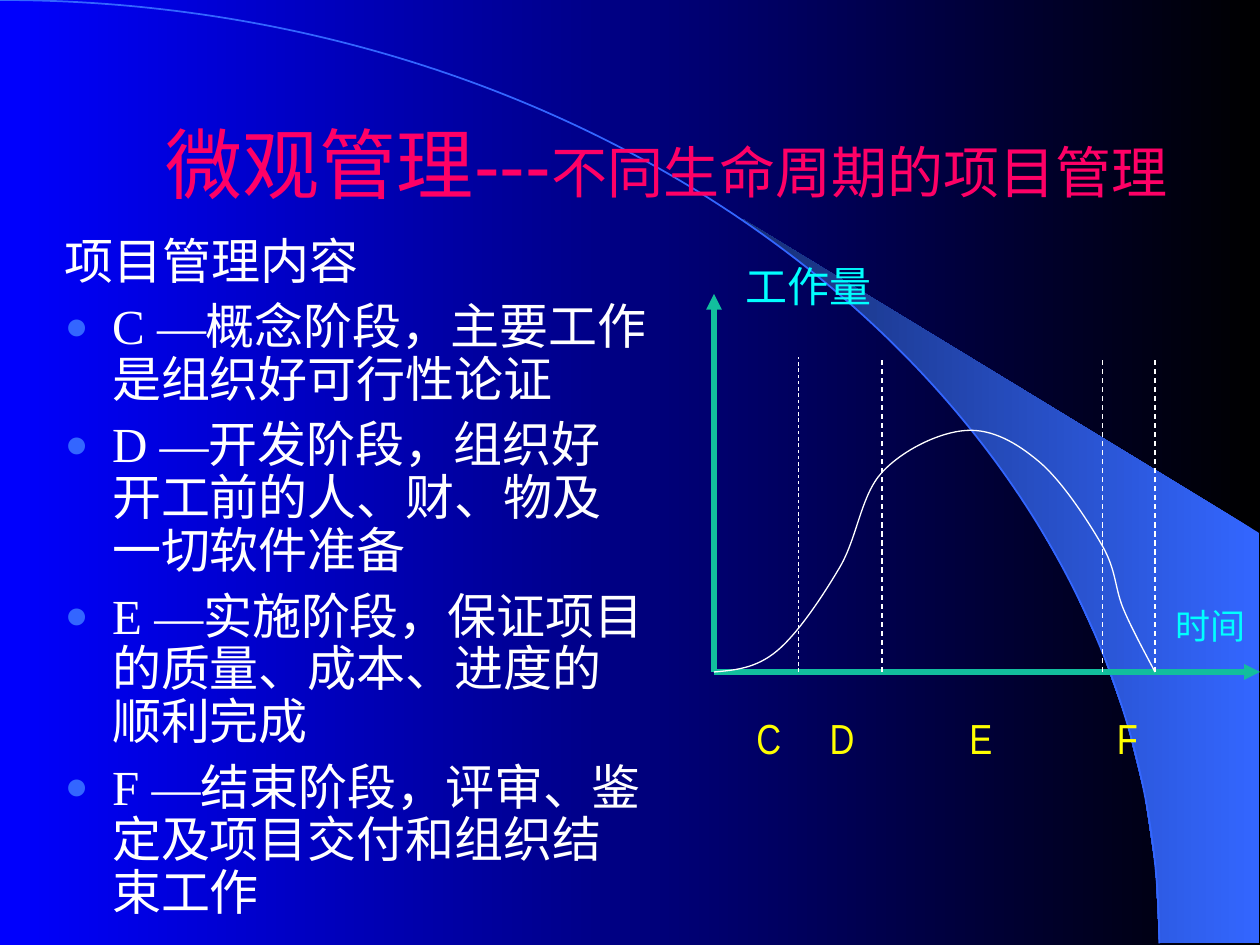
from math import cos, radians, sin

from lxml.etree import SubElement
from pptx import Presentation
from pptx.dml.color import RGBColor
from pptx.enum.dml import MSO_LINE
from pptx.enum.shapes import MSO_CONNECTOR
from pptx.enum.text import MSO_ANCHOR, MSO_AUTO_SIZE, PP_ALIGN
from pptx.oxml.ns import qn
from pptx.util import Inches, Pt

BLACK = RGBColor(0x00, 0x00, 0x00)
BLUE = RGBColor(0x00, 0x00, 0xFF)
SKY = RGBColor(0x33, 0x66, 0xFF)
NAVY = RGBColor(0x17, 0x2F, 0x75)
PINK = RGBColor(0xFF, 0x00, 0x66)
WHITE = RGBColor(0xFF, 0xFF, 0xFF)
GREEN = RGBColor(0x12, 0xBE, 0x9D)
CYAN = RGBColor(0x00, 0xFF, 0xFF)
YELLOW = RGBColor(0xFF, 0xFF, 0x00)

COLUMNS, ROWS = 120, 90
ARC_WIDTH, ARC_HEIGHT = 110.4, 89.85
ROUNDNESS = 0.55
HANGING = Pt(27)
ORIGIN = (68, 64)
WORKLOAD = [ORIGIN, (74, 62), (80, 54), (84, 45), (92, 41),
            (99, 44), (105, 52), (107, 58), (110, 64)]
BEFORE_START = (62, 63)
PHASE_ENDS = [(76, 0.5), (84, 0.75), (105, 0.75), (110, 0.75)]

HEADING = "项目管理内容"
PHASES = [
    "C —概念阶段，主要工作是组织好可行性论证",
    "D —开发阶段，组织好开工前的人、财、物及一切软件准备",
    "E —实施阶段，保证项目的质量、成本、进度的顺利完成",
    "F —结束阶段，评审、鉴定及项目交付和组织结束工作",
]


def grid(*cells):
    """Turn counts of grid cells (twelve to the inch) into lengths."""
    return [Inches(cell / 12) for cell in cells]


def place(shape, left, top, width, height):
    shape.left, shape.top, shape.width, shape.height = grid(left, top, width, height)


def set_gradient(fill, start, end):
    fill.gradient()
    fill.gradient_angle = 180
    for stop, color in zip(fill.gradient_stops, (start, end)):
        stop.color.rgb = color


def set_font(paragraph, name, size, color):
    paragraph.font.name = name
    paragraph.font.size = Pt(size)
    paragraph.font.color.rgb = color


def add_outline(slide, points, closed=False, corners=()):
    """Draw through the points; corners widen the frame of the shape."""
    start, *rest = [grid(*point) for point in (*corners, *points)]
    builder = slide.shapes.build_freeform(*start)
    for _ in corners:
        builder.move_to(*rest.pop(0))
    builder.add_line_segments(rest, close=closed)
    outline = builder.convert_to_shape()
    outline.shadow.inherit = False
    return outline


def add_curve(slide, points, color, width, corners=()):
    """Draw cubic curves; each takes two control points and an end."""
    curve = add_outline(slide, points, corners=corners)
    drawn = next(curve._element.iter(qn("a:path")))
    for move in drawn.findall(qn("a:moveTo"))[:-1]:
        drawn.remove(move)
    segments = drawn.findall(qn("a:lnTo"))
    for first in range(0, len(segments), 3):
        cubic = SubElement(drawn, qn("a:cubicBezTo"))
        for segment in segments[first:first + 3]:
            cubic.append(segment[0])
            drawn.remove(segment)
    curve.fill.background()
    curve.line.color.rgb = color
    curve.line.width = Pt(width)
    return curve


def arc_points(first_angle, steps):
    """Points on a quarter ellipse, from an angle in degrees to its right end."""
    angles = [radians(first_angle + (90 - first_angle) * i / steps)
              for i in range(steps + 1)]
    return [(ARC_WIDTH * sin(a), ARC_HEIGHT * (1 - cos(a))) for a in angles]


def smooth(knots, before):
    """Put Catmull-Rom control points between the knots."""
    padded = [before, *knots, knots[-1]]
    points = [knots[0]]
    for (ax, ay), (bx, by), (cx, cy), (dx, dy) in zip(
            padded, padded[1:], padded[2:], padded[3:]):
        points += [(bx + (cx - ax) / 6, by + (cy - ay) / 6),
                   (cx - (dx - bx) / 6, cy - (dy - by) / 6),
                   (cx, cy)]
    return points


def add_line(slide, start, end, color, width, dashed=False, arrow=False):
    line = slide.shapes.add_connector(MSO_CONNECTOR.STRAIGHT, *grid(*start), *grid(*end))
    line.line.color.rgb = color
    line.line.width = Pt(width)
    if dashed:
        line.line.dash_style = MSO_LINE.DASH
    if arrow:
        SubElement(line.line._get_or_add_ln(), qn("a:tailEnd"), type="triangle")
    SubElement(line._element.spPr, qn("a:effectLst"))


def add_label(slide, words, box, size, color, inset=0.1, tabs=()):
    label = slide.shapes.add_textbox(*grid(*box))
    frame = label.text_frame
    frame.margin_left = Inches(inset)
    paragraph = frame.paragraphs[0]
    paragraph.text = words
    if tabs:
        tab_list = SubElement(paragraph._p.get_or_add_pPr(), qn("a:tabLst"))
        for tab in tabs:
            SubElement(tab_list, qn("a:tab"), pos=str(Inches(tab)), algn="l")
    set_font(paragraph, "Arial Narrow", size, color)


def set_bullet(paragraph, bulleted):
    properties = paragraph._p.get_or_add_pPr()
    properties.set("marL", str(HANGING))
    properties.set("indent", str(-HANGING))
    if not bulleted:
        SubElement(properties, qn("a:buNone"))
        return
    color = SubElement(properties, qn("a:buClr"))
    SubElement(color, qn("a:srgbClr"), val=str(SKY))
    SubElement(properties, qn("a:buSzPct"), val="80000")
    SubElement(properties, qn("a:buChar"), char="●")


def add_backdrop(slide):
    set_gradient(slide.background.fill, BLACK, BLUE)
    quarter = [(0, 0), (ARC_WIDTH * ROUNDNESS, 0),
               (ARC_WIDTH, ARC_HEIGHT * (1 - ROUNDNESS)), (ARC_WIDTH, ARC_HEIGHT)]
    arc = add_curve(slide, quarter, SKY, 1,
                    corners=[(-ARC_WIDTH, 0), (ARC_WIDTH, 2 * ARC_HEIGHT)])
    right = COLUMNS - 0.1
    wedge = add_outline(slide, [*arc_points(39.8, 11), (right, ARC_HEIGHT), (right, 50.75)],
                        closed=True)
    set_gradient(wedge.fill, SKY, NAVY)
    wedge.line.fill.background()
    for shape in (arc, wedge):
        slide.shapes._spTree.insert(2, shape._element)


def fill_title(title):
    place(title, 10, 8, 107, 15)
    frame = title.text_frame
    frame.auto_size = MSO_AUTO_SIZE.NONE
    frame.vertical_anchor = MSO_ANCHOR.MIDDLE
    paragraph = frame.paragraphs[0]
    paragraph.alignment = PP_ALIGN.CENTER
    paragraph.add_run().text = "微观管理---"
    subject = paragraph.add_run()
    subject.text = "不同生命周期的项目管理"
    subject.font.size = Pt(32)
    set_font(paragraph, "Arial", 44, PINK)


def fill_body(body):
    place(body, 4.98, 22, 58, 68)
    frame = body.text_frame
    frame.auto_size = MSO_AUTO_SIZE.NONE
    frame.text = "\n".join([HEADING, *PHASES])
    for index, paragraph in enumerate(frame.paragraphs):
        set_bullet(paragraph, bulleted=index > 0)
        paragraph.line_spacing = 0.9
        paragraph.space_before = Pt(7 if index else 0)
        set_font(paragraph, "Times New Roman", 28, WHITE)


def add_workload_diagram(slide):
    left, base = ORIGIN
    for tip in ((left, 28), (COLUMNS, base)):
        add_line(slide, ORIGIN, tip, GREEN, 3, arrow=True)
    add_label(slide, "C\tD\tE\tF", (70, 67.3, 44, 6), 24, YELLOW,
              inset=0.17, tabs=(0.58, 1.69, 2.86))
    for column, width in PHASE_ENDS:
        add_line(slide, (column, base), (column, 34), WHITE, width, dashed=True)
    add_label(slide, "工作量", (69.8, 24.25, 18.2, 6), 24, CYAN)
    add_label(slide, "时间", (110, 57, 10, 5.3), 20, CYAN, inset=0.16)
    add_curve(slide, smooth(WORKLOAD, BEFORE_START), WHITE, 0.75)


def main():
    deck = Presentation()
    deck.slide_width, deck.slide_height = grid(COLUMNS, ROWS)
    slide = deck.slides.add_slide(deck.slide_layouts[1])
    add_backdrop(slide)
    fill_title(slide.shapes.title)
    fill_body(slide.placeholders[1])
    add_workload_diagram(slide)
    deck.save("out.pptx")


if __name__ == "__main__":
    main()
